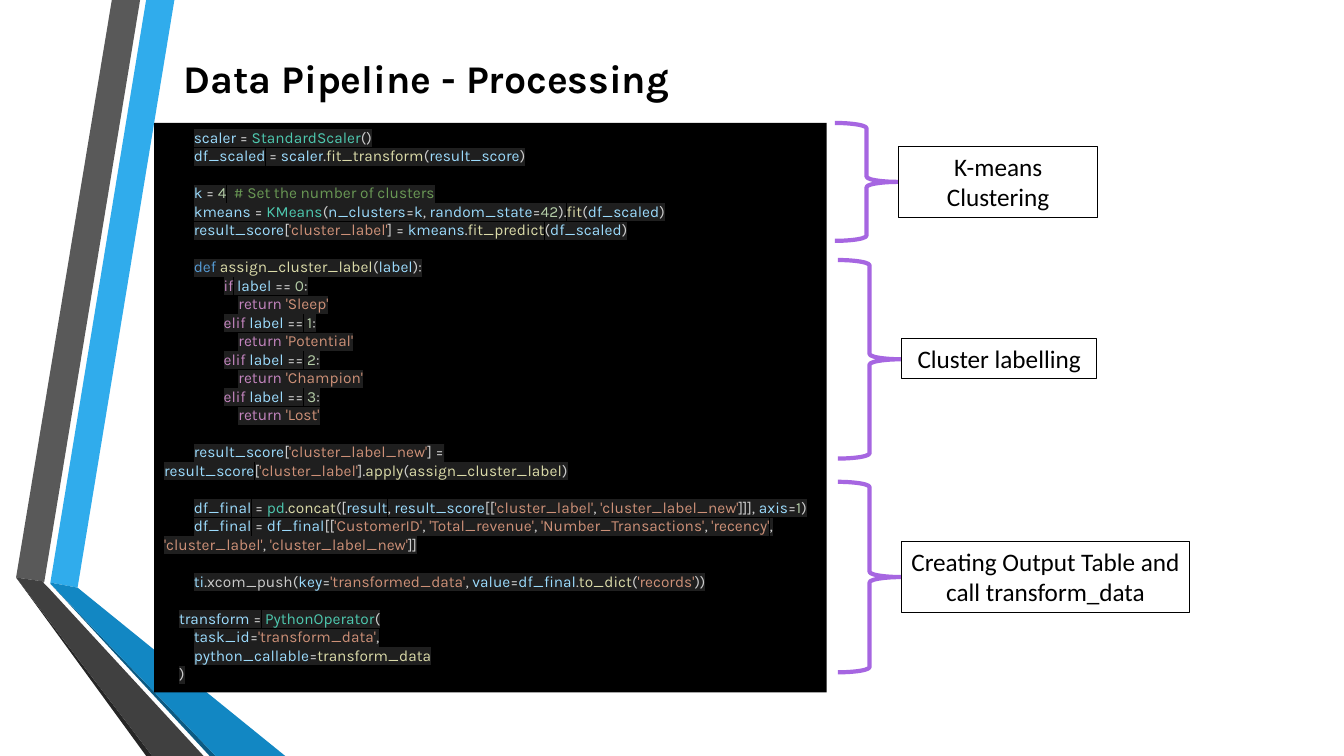
import itertools

import pptx
import pptx.dml.color
import pptx.enum.shapes
import pptx.enum.text
import pptx.oxml
import pptx.oxml.ns
import pptx.util

THEME = {
    "black": "000000", "white": "FFFFFF", "brace": "A666E1", "highlight": "1F1F1F",
    "punctuation": "CCCCCC", "operator": "D4D4D4", "variable": "9CDCFE", "class": "4EC9B0",
    "function": "DCDCAA", "number": "B5CEA8", "comment": "6A9955", "string": "CE9178",
    "control": "C586C0", "definition": "569CD6",
    "title_font": "Karla", "code_font": "Karla", "label_font": "Calibri",
    "title_size": 28, "code_size": 11, "label_size": 18, "code_gap": 13.2,
    "brace_line": 3, "label_line": 0.75,
}
UNIT = pptx.util.Inches(0.01)
INDENT = 14.75
COLUMNS, ROWS = 1333, 750

WORD_KINDS = {
    "StandardScaler": "class", "KMeans": "class", "pd": "class", "PythonOperator": "class",
    "fit_transform": "function", "fit": "function", "fit_predict": "function",
    "assign_cluster_label": "function", "apply": "function", "concat": "function",
    "to_dict": "function", "transform_data": "function", "xcom_push": "punctuation",
    "if": "control", "elif": "control", "return": "control", "def": "definition",
}

CODE_BLOCKS = [
    [(2, "scaler = StandardScaler()"),
     (2, "df_scaled = scaler.fit_transform(result_score)")],
    [(2, "k = 4  # Set the number of clusters"),
     (2, "kmeans = KMeans(n_clusters=k, random_state=42).fit(df_scaled)"),
     (2, "result_score['cluster_label'] = kmeans.fit_predict(df_scaled)")],
    [(2, "def assign_cluster_label(label):"),
     (4, "if label == 0:"),
     (5, "return 'Sleep'"),
     (4, "elif label == 1:"),
     (5, "return 'Potential'"),
     (4, "elif label == 2:"),
     (5, "return 'Champion'"),
     (4, "elif label == 3:"),
     (5, "return 'Lost'")],
    [(2, "result_score['cluster_label_new'] = result_score['cluster_label'].apply(assign_cluster_label)")],
    [(2, "df_final = pd.concat([result, result_score[['cluster_label', 'cluster_label_new']]], axis=1)"),
     (2, "df_final = df_final[['CustomerID', 'Total_revenue', 'Number_Transactions', 'recency', "
         "'cluster_label', 'cluster_label_new']]")],
    [(2, "ti.xcom_push(key='transformed_data', value=df_final.to_dict('records'))")],
    [(1, "transform = PythonOperator("),
     (2, "task_id='transform_data',"),
     (2, "python_callable=transform_data"),
     (1, ")")],
]

RIBBONS = [
    ("30ACEC", [(50, 578), (77, 583), (173, 0), (145, 0)]),
    ("595959", [(139, 0), (111, 0), (16, 573), (44, 577)]),
    ("262626", [(16, 573), (145, 750), (151, 750)]),
    ("0C5A82", [(50, 579), (208, 750), (214, 750)]),
    ("1287C3", [(50, 579), (214, 750), (283, 750), (77, 583), (50, 578)]),
    ("404040", [(202, 750), (48, 583), (43, 578), (44, 577), (16, 573), (151, 750)]),
]

SECTIONS = [
    ("K-means Clustering", 828, 122, 117, 198, 71),
    ("Cluster labelling", 831, 258, 197, 194, 40),
    ("Creating Output Table and call transform_data", 831, 478, 189, 286, 71),
]
BRACE_WIDTH = 63


def paint(shape, fill=None, line=None, width=0):
    shape.shadow.inherit = False
    for part, color in ((shape.fill, fill), (shape.line.fill, line)):
        if color:
            part.solid()
            part.fore_color.rgb = pptx.dml.color.RGBColor.from_string(color)
        else:
            part.background()
    if line:
        shape.line.width = pptx.util.Pt(width)


def write(paragraph, text, font, size, color, bold=False):
    run = paragraph.add_run()
    run.text = text
    values = {"name": font, "size": pptx.util.Pt(size), "bold": bold}
    for name, value in values.items():
        setattr(run.font, name, value)
    run.font.color.rgb = pptx.dml.color.RGBColor.from_string(color)
    return run


presentation = pptx.Presentation()
presentation.slide_width = COLUMNS * UNIT
presentation.slide_height = ROWS * UNIT
slide = presentation.slides.add_slide(presentation.slide_layouts[5])
shapes = slide.shapes

title = shapes.title
title_box = {"left": 172, "top": 32, "width": 1052, "height": 91}
for name, value in title_box.items():
    setattr(title, name, value * UNIT)
title.text_frame.vertical_anchor = pptx.enum.text.MSO_ANCHOR.MIDDLE
title_paragraph = title.text_frame.paragraphs[0]
title_paragraph.alignment = pptx.enum.text.PP_ALIGN.LEFT
write(title_paragraph, "Data Pipeline - Processing", THEME["title_font"], THEME["title_size"],
      THEME["black"], bold=True)

for color, points in RIBBONS:
    builder = shapes.build_freeform(*points[0], scale=UNIT)
    builder.add_line_segments(points[1:], close=True)
    paint(builder.convert_to_shape(), fill=color)

panel = shapes.add_shape(pptx.enum.shapes.MSO_SHAPE.RECTANGLE,
                         153 * UNIT, 122 * UNIT, 667 * UNIT, 565 * UNIT)
paint(panel, fill=THEME["black"])
code_frame = panel.text_frame
code_frame.word_wrap = True
code_frame.vertical_anchor = pptx.enum.text.MSO_ANCHOR.TOP

paragraph = code_frame.paragraphs[0]
for block_number, block in enumerate(CODE_BLOCKS):
    for line_number, (level, text) in enumerate(block):
        if block_number or line_number:
            paragraph = code_frame.add_paragraph()
        paragraph.alignment = pptx.enum.text.PP_ALIGN.LEFT
        if block_number and not line_number:
            paragraph.space_before = pptx.util.Pt(THEME["code_gap"])
        properties = paragraph._p.get_or_add_pPr()
        properties.set("marL", "0")
        properties.set("indent", str(int(level * INDENT * UNIT)))

        code, mark, comment = text.partition("#")
        tokens = []
        for piece_number, piece in enumerate(code.split("'")):
            if piece_number % 2:
                tokens.append(("string", f"'{piece}'"))
                continue
            for kind, letters in itertools.groupby(
                    piece, lambda letter: "word" if letter.isalnum() or letter == "_"
                    else "operator" if letter == "=" else "punctuation"):
                token = "".join(letters)
                if kind == "word":
                    kind = "number" if token.isdigit() else WORD_KINDS.get(token, "variable")
                tokens.append((kind, token))
        if mark:
            tokens.append(("comment", mark + comment))

        for kind, token in tokens:
            run = write(paragraph, token, THEME["code_font"], THEME["code_size"], THEME[kind])
            highlight = pptx.oxml.parse_xml(
                f'<a:highlight {pptx.oxml.ns.nsdecls("a")}>'
                f'<a:srgbClr val="{THEME["highlight"]}"/></a:highlight>')
            run._r.rPr.find(pptx.oxml.ns.qn("a:solidFill")).addnext(highlight)

for text, left, top, height, label_width, label_height in SECTIONS:
    brace = shapes.add_shape(pptx.enum.shapes.MSO_SHAPE.RIGHT_BRACE,
                             left * UNIT, top * UNIT, BRACE_WIDTH * UNIT, height * UNIT)
    paint(brace, line=THEME["brace"], width=THEME["brace_line"])
    label_top = top + (height - label_height) // 2
    label = shapes.add_shape(pptx.enum.shapes.MSO_SHAPE.RECTANGLE,
                             (left + BRACE_WIDTH) * UNIT, label_top * UNIT,
                             label_width * UNIT, label_height * UNIT)
    paint(label, fill=THEME["white"], line=THEME["black"], width=THEME["label_line"])
    label.text_frame.word_wrap = True
    label.text_frame.vertical_anchor = pptx.enum.text.MSO_ANCHOR.TOP
    label_paragraph = label.text_frame.paragraphs[0]
    label_paragraph.alignment = pptx.enum.text.PP_ALIGN.CENTER
    write(label_paragraph, text, THEME["label_font"], THEME["label_size"], THEME["black"])

presentation.save("out.pptx")
